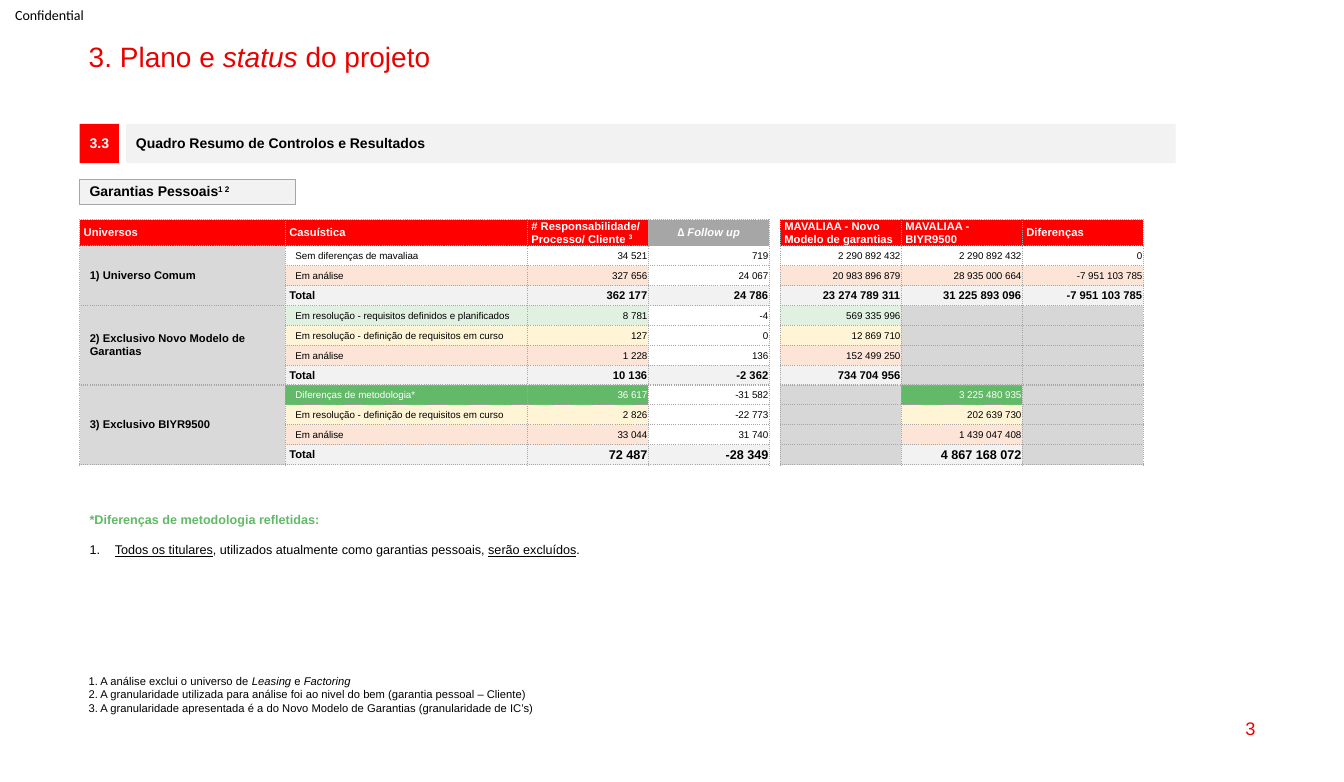
from lxml import etree
from pptx import Presentation
from pptx.dml.color import RGBColor
from pptx.enum.shapes import MSO_SHAPE
from pptx.enum.text import MSO_ANCHOR, MSO_AUTO_SIZE, PP_ALIGN
from pptx.oxml.ns import qn
from pptx.util import Inches, Pt

RECTANGLE = MSO_SHAPE.RECTANGLE
TOP, MIDDLE = MSO_ANCHOR.TOP, MSO_ANCHOR.MIDDLE
LEFT, CENTER, RIGHT = PP_ALIGN.LEFT, PP_ALIGN.CENTER, PP_ALIGN.RIGHT

TITLE_RED = RGBColor(0xEB, 0x00, 0x00)
RED = RGBColor(0xFF, 0x00, 0x00)
BLACK = RGBColor(0x00, 0x00, 0x00)
WHITE = RGBColor(0xFF, 0xFF, 0xFF)
PALE_GRAY = RGBColor(0xF2, 0xF2, 0xF2)
GROUP_GRAY = RGBColor(0xD9, 0xD9, 0xD9)
EMPTY_GRAY = RGBColor(0xD7, 0xD7, 0xD7)
LINE_GRAY = RGBColor(0xA6, 0xA6, 0xA6)
GREEN = RGBColor(0x62, 0xB9, 0x67)
PALE_GREEN = RGBColor(0xE0, 0xF1, 0xE1)
PALE_YELLOW = RGBColor(0xFF, 0xF5, 0xD6)
PALE_ORANGE = RGBColor(0xFC, 0xE4, 0xD6)

BOX_INSETS = (0.1, 0.05, 0.1, 0.05)
LABEL_INSETS = (0.04, 0, 0.04, 0)
DETAIL_INSETS = (0.1, 0.01, 0.01, 0)
NUMBER_INSETS = (0.01, 0.01, 0.01, 0)

COLUMN_WIDTHS = (2.04, 2.4, 1.2, 1.2, 0.11, 1.2, 1.2, 1.2)
DELTA_COLUMN, GAP_COLUMN = 3, 4
TABLE_HEIGHT, HEADER_HEIGHT = 2.43, 0.26

HEADERS = (
    ["Universos"],
    ["Casuística"],
    ["# Responsabilidade/", ["Processo/ Cliente ", ("3", {"superscript": True})]],
    ["∆ Follow up"],
    None,
    ["MAVALIAA - Novo Modelo de garantias"],
    ["MAVALIAA - BIYR9500"],
    ["Diferenças"],
)
PLANNED = "Em resolução - requisitos definidos e planificados"
DEFINING = "Em resolução - definição de requisitos em curso"
ANALYSIS = "Em análise"
TOTAL = "Total"
UNIVERSES = (
    ("1) Universo Comum", (
        ("Sem diferenças de mavaliaa", None, "34 521", "719", "2 290 892 432", "2 290 892 432", "0"),
        (ANALYSIS, PALE_ORANGE, "327 656", "24 067", "20 983 896 879", "28 935 000 664", "-7 951 103 785"),
        (TOTAL, PALE_GRAY, "362 177", "24 786", "23 274 789 311", "31 225 893 096", "-7 951 103 785"),
    ), 8),
    ("2) Exclusivo Novo Modelo de Garantias", (
        (PLANNED, PALE_GREEN, "8 781", "-4", "569 335 996", "", ""),
        (DEFINING, PALE_YELLOW, "127", "0", "12 869 710", "", ""),
        (ANALYSIS, PALE_ORANGE, "1 228", "136", "152 499 250", "", ""),
        (TOTAL, PALE_GRAY, "10 136", "-2 362", "734 704 956", "", ""),
    ), 8),
    ("3) Exclusivo BIYR9500", (
        ("Diferenças de metodologia*", GREEN, "36 617", "-31 582", "", "3 225 480 935", ""),
        (DEFINING, PALE_YELLOW, "2 826", "-22 773", "", "202 639 730", ""),
        (ANALYSIS, PALE_ORANGE, "33 044", "31 740", "", "1 439 047 408", ""),
        (TOTAL, PALE_GRAY, "72 487", "-28 349", "", "4 867 168 072", ""),
    ), 9),
)


def add_run(paragraph, text, size=8, color=BLACK, bold=False, italic=False,
            underline=False, superscript=False, name="Arial"):
    run = paragraph.add_run()
    run.text = text
    font = run.font
    font.name, font.size, font.color.rgb = name, Pt(size), color
    font.bold, font.italic, font.underline = bold, italic, underline
    if superscript:
        run._r.get_or_add_rPr().set("baseline", "30000")


def write_text(text_frame, paragraphs, align=LEFT, line_spacing=None, **style):
    for index, runs in enumerate(paragraphs):
        paragraph = text_frame.add_paragraph() if index else text_frame.paragraphs[0]
        paragraph.alignment = align
        if line_spacing:
            paragraph.line_spacing = line_spacing
        for run in [runs] if isinstance(runs, str) else runs:
            text, changes = (run, {}) if isinstance(run, str) else run
            add_run(paragraph, text, **{**style, **changes})


def set_insets(holder, insets):
    (holder.margin_left, holder.margin_top,
     holder.margin_right, holder.margin_bottom) = map(Inches, insets)


def place_text(shape, paragraphs, anchor=TOP, insets=BOX_INSETS, **style):
    text_frame = shape.text_frame
    text_frame.word_wrap = True
    text_frame.auto_size = MSO_AUTO_SIZE.NONE
    text_frame.vertical_anchor = anchor
    set_insets(text_frame, insets)
    write_text(text_frame, paragraphs, **style)
    return text_frame


def add_text_box(slide, box, paragraphs, **style):
    return place_text(slide.shapes.add_textbox(*map(Inches, box)), paragraphs, **style)


def add_band(slide, box, paragraphs, fill, line=None, **style):
    shape = slide.shapes.add_shape(RECTANGLE, *map(Inches, box))
    shape.shadow.inherit = False
    shape.fill.solid()
    shape.fill.fore_color.rgb = fill
    if line:
        shape.line.color.rgb = line
        shape.line.width = Pt(0.75)
    else:
        shape.line.fill.background()
    place_text(shape, paragraphs, anchor=MIDDLE, size=10, bold=True, line_spacing=0.9, **style)


def set_borders(cell, is_gap):
    properties = cell._tc.get_or_add_tcPr()
    for side in "LRTB":
        line = etree.SubElement(properties, qn(f"a:ln{side}"), w=str(Pt(1)))
        if is_gap and side in "TB":
            etree.SubElement(line, qn("a:noFill"))
            continue
        fill = etree.SubElement(line, qn("a:solidFill"))
        etree.SubElement(fill, qn("a:srgbClr"), val=str(LINE_GRAY))
        etree.SubElement(line, qn("a:prstDash"), val="sysDot")


def fill_cell(cell, paragraphs, fill=None, insets=NUMBER_INSETS, **style):
    if fill:
        cell.fill.solid()
        cell.fill.fore_color.rgb = fill
    set_insets(cell, insets)
    write_text(cell.text_frame, paragraphs, **style)


def add_header(table):
    for column, paragraphs in enumerate(HEADERS):
        if column == GAP_COLUMN:
            continue
        is_delta = column == DELTA_COLUMN
        fill_cell(table.cell(0, column), paragraphs, LINE_GRAY if is_delta else RED,
                  LABEL_INSETS, align=CENTER if is_delta else LEFT,
                  color=WHITE, bold=True, italic=is_delta)


def add_detail_row(table, row, label, color, values, total_size):
    is_total = label == TOTAL
    text_color = WHITE if color == GREEN else BLACK
    fill_cell(table.cell(row, 1), [label], color, LABEL_INSETS if is_total else DETAIL_INSETS,
              size=8 if is_total else 7, bold=is_total, color=text_color)
    for column, value in zip((2, 3, 5, 6, 7), values):
        is_plain = column == DELTA_COLUMN and not is_total
        fill = None if is_plain else color if value else EMPTY_GRAY
        fill_cell(table.cell(row, column), [value] if value else [], fill, align=RIGHT,
                  size=total_size if is_total else 7, bold=is_total,
                  color=BLACK if is_plain else text_color)


def add_results_table(slide):
    row_count = 1 + sum(len(details) for _, details, _ in UNIVERSES)
    table = slide.shapes.add_table(row_count, len(COLUMN_WIDTHS), Inches(0.79), Inches(2.18),
                                   Inches(sum(COLUMN_WIDTHS)), Inches(TABLE_HEIGHT)).table
    table.first_row = table.horz_banding = False
    for column, width in zip(table.columns, COLUMN_WIDTHS):
        column.width = Inches(width)
    for index, row in enumerate(table.rows):
        row.height = Inches((TABLE_HEIGHT - HEADER_HEIGHT) / (row_count - 1) if index else HEADER_HEIGHT)
        for column, cell in enumerate(row.cells):
            set_borders(cell, column == GAP_COLUMN)
            cell.fill.background()
            set_insets(cell, NUMBER_INSETS)
            cell.vertical_anchor = MIDDLE
            cell.text_frame.paragraphs[0]._p.get_or_add_endParaRPr().set("sz", "700")
    add_header(table)
    row = 1
    for universe, details, total_size in UNIVERSES:
        table.cell(row, 0).merge(table.cell(row + len(details) - 1, 0))
        fill_cell(table.cell(row, 0), [universe], GROUP_GRAY, BOX_INSETS, bold=True)
        for label, color, *values in details:
            add_detail_row(table, row, label, color, values, total_size)
            row += 1


def number_paragraph(paragraph):
    properties = paragraph._p.get_or_add_pPr()
    properties.set("marL", str(Inches(0.25)))
    properties.set("indent", str(-Inches(0.25)))
    etree.SubElement(properties, qn("a:buFont"), typeface="+mj-lt")
    etree.SubElement(properties, qn("a:buAutoNum"), type="arabicPeriod")


def add_methodology(slide):
    underlined = {"underline": True}
    text_frame = add_text_box(slide, (0.79, 5.03, 10.55, 1.5), [
        [("*Diferenças de metodologia refletidas:", {"color": GREEN, "bold": True})],
        [("Todos os titulares", underlined), ", utilizados atualmente como garantias pessoais, ",
         ("serão excluídos", underlined), "."],
    ], size=9)
    item = text_frame.paragraphs[1]
    item.space_before = Pt(11)
    number_paragraph(item)


def main():
    presentation = Presentation()
    presentation.slide_width, presentation.slide_height = Inches(13.33), Inches(7.76)
    slide = presentation.slides.add_slide(presentation.slide_layouts[5])
    italic = {"italic": True}

    title = slide.shapes.title
    title.left, title.top, title.width, title.height = map(Inches, (0.78, 0.38, 11.77, 0.34))
    place_text(title, [["3. Plano e ", ("status", italic), " do projeto"]],
               size=20, color=TITLE_RED, line_spacing=0.9)

    add_text_box(slide, (0, 0, 0.99, 0.29), ["Confidential"], anchor=MIDDLE,
                 insets=(0.15, 0, 0, 0), size=10, name="Calibri")
    add_text_box(slide, (9.55, 7.02, 3, 0.41), ["3"], anchor=MIDDLE,
                 align=RIGHT, size=13, color=TITLE_RED)
    add_band(slide, (0.79, 1.23, 0.39, 0.39), ["3.3"], RED, align=CENTER, color=WHITE)
    add_band(slide, (1.25, 1.23, 10.41, 0.39), ["Quadro Resumo de Controlos e Resultados"], PALE_GRAY)
    add_band(slide, (0.79, 1.78, 2.14, 0.25),
             [["Garantias Pessoais", ("1 2", {"superscript": True})]], PALE_GRAY, LINE_GRAY)
    add_results_table(slide)
    add_methodology(slide)
    add_text_box(slide, (0.78, 6.64, 4.75, 0.5), [
        ["1. A análise exclui o universo de ", ("Leasing", italic), " e ", ("Factoring", italic)],
        "2. A granularidade utilizada para análise foi ao nivel do bem (garantia pessoal – Cliente)",
        "3. A granularidade apresentada é a do Novo Modelo de Garantias (granularidade de IC’s)",
    ])
    presentation.save("out.pptx")


if __name__ == "__main__":
    main()
